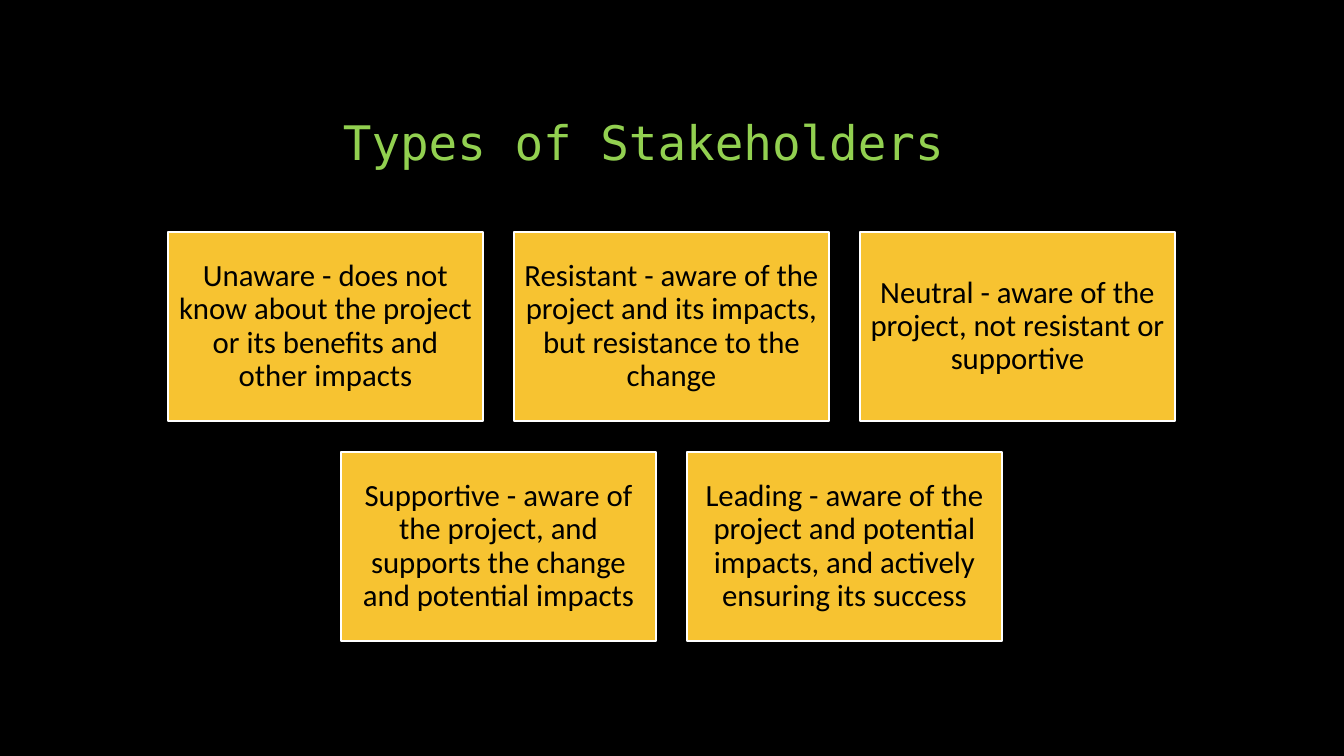
from pptx import Presentation
from pptx import util as u
from pptx.dml.color import RGBColor
from pptx.enum import shapes, text

PX = 914400 / 100.8
SLIDE_W, SLIDE_H = 1344, 756
CARD_W, CARD_H, GAP, CARDS_TOP = 315, 189, 31, 232
COLOURS = {"back": "000000", "title": "92D050", "card": "F7C331",
           "edge": "FFFFFF", "body": "000000"}
TITLE = {"name": "DejaVu Sans Mono", "size": u.Pt(34)}
BODY = {"name": "Calibri", "size": u.Pt(22)}
ROWS = [
    ["Unaware - does not know about the project or its benefits and other impacts",
     "Resistant - aware of the project and its impacts, but resistance to the change",
     "Neutral - aware of the project, not resistant or supportive"],
    ["Supportive - aware of the project, and supports the change and potential impacts",
     "Leading - aware of the project and potential impacts, and actively ensuring its success"],
]


def px(n):
    """Turn pixels into EMU."""
    return u.Emu(round(n * PX))


def rgb(key):
    """Look up a named colour."""
    return RGBColor.from_string(COLOURS[key])


def write(sp, words, font, colour, anchor, insets):
    """Fill a shape with one centred paragraph."""
    tf = sp.text_frame
    frame = {"word_wrap": True, "vertical_anchor": anchor}
    for side, inset in zip(("left", "top", "right", "bottom"), insets):
        frame[f"margin_{side}"] = px(inset)
    for name, value in frame.items():
        setattr(tf, name, value)
    p = tf.paragraphs[0]
    p.alignment, p.line_spacing = text.PP_ALIGN.CENTER, 0.9
    r = p.add_run()
    r.text = words
    for name, value in font.items():
        setattr(r.font, name, value)
    r.font.color.rgb = rgb(colour)


def add_title(s, words):
    """Add the heading, set slightly left of centre by its right inset."""
    sp = s.shapes.add_textbox(px(168), px(50), px(1008), px(126))
    write(sp, words, TITLE, "title", text.MSO_ANCHOR.BOTTOM, (10, 5, 67, 5))


def add_card(s, left, top, words):
    """Add one outlined card with its description."""
    sp = s.shapes.add_shape(shapes.MSO_SHAPE.RECTANGLE,
                            px(left), px(top), px(CARD_W), px(CARD_H))
    sp.shadow.inherit = False
    sp.fill.solid()
    sp.fill.fore_color.rgb = rgb("card")
    sp.line.color.rgb = rgb("edge")
    sp.line.width = u.Pt(1.5)
    write(sp, words, BODY, "body", text.MSO_ANCHOR.MIDDLE, (9, 9, 9, 9))


def add_cards(s, rows):
    """Lay out each row of cards centred on the slide."""
    for i, row in enumerate(rows):
        left = (SLIDE_W - len(row) * (CARD_W + GAP) + GAP) // 2
        for j, words in enumerate(row):
            add_card(s, left + j * (CARD_W + GAP),
                     CARDS_TOP + i * (CARD_H + GAP), words)


def main():
    """Build and save the stakeholder slide."""
    prs = Presentation()
    prs.slide_width, prs.slide_height = px(SLIDE_W), px(SLIDE_H)
    s = prs.slides.add_slide(prs.slide_layouts[6])
    s.background.fill.solid()
    s.background.fill.fore_color.rgb = rgb("back")
    add_title(s, "Types of Stakeholders")
    add_cards(s, ROWS)
    prs.save("out.pptx")


if __name__ == "__main__":
    main()
